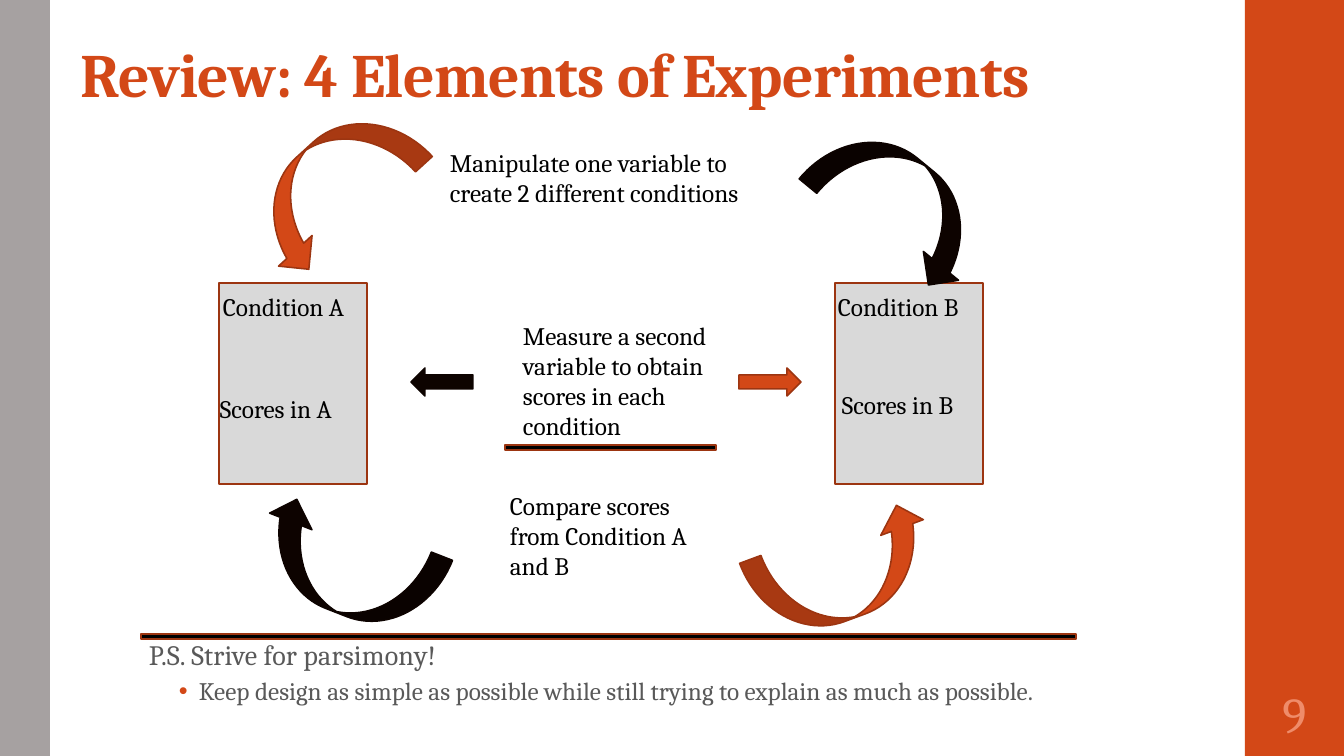
import pptx
import pptx.util
import pptx.dml.color
import pptx.enum.shapes
import pptx.enum.text
import pptx.oxml.ns
import lxml.etree

KIND = pptx.enum.shapes.MSO_SHAPE
ANCHOR = pptx.enum.text.MSO_ANCHOR
ALIGN = pptx.enum.text.PP_ALIGN
PT = pptx.util.Pt
SCALE = 914400 / 100.8
ORANGE, RUST, BLACK, INK = "D34817", "9C3511", "000000", "0D0300"
GRAY, PANEL, SLATE, PEACH = "A6A1A1", "D9D9D9", "595959", "EF8C6A"


def px(size):
    """Turn pixels into EMU."""
    return round(size * SCALE)


def tint(code):
    """Turn a hex string into a colour."""
    return pptx.dml.color.RGBColor.from_string(code)


def style(thing, values):
    """Set each attribute named in a dict."""
    for name, value in values.items():
        setattr(thing, name, value)


def shape(slide, kind, box, fill, line=None, turn=0, flip=False):
    """Add a filled preset shape."""
    item = slide.shapes.add_shape(kind, *map(px, box))
    item.shadow.inherit = False
    item.fill.solid()
    item.fill.fore_color.rgb = tint(fill)
    if line:
        item.line.color.rgb = tint(line)
        item.line.width = PT(1.1)
    else:
        item.line.fill.background()
    item.rotation = turn
    if flip:
        item._element.spPr.xfrm.set("flipH", "1")
    return item


def arrow(slide, kind, box, turn=0, flip=False):
    """Add an arrow, dark when it is mirrored."""
    fill, line = (INK, INK) if flip else (ORANGE, RUST)
    shape(slide, kind, box, fill, line, turn, flip)


def frame(slide, box, **values):
    """Add a wrapping text box and return its frame."""
    text = slide.shapes.add_textbox(*map(px, box)).text_frame
    style(text, {"word_wrap": True, **values})
    return text


def write(para, words, size=18, color=BLACK, bold=False, track=0, **values):
    """Write one styled run in a paragraph."""
    style(para, values)
    run = para.add_run()
    run.text = words
    style(run.font, {"name": "Cambria", "size": PT(size), "bold": bold})
    run.font.color.rgb = tint(color)
    if track:
        run._r.get_or_add_rPr().set("spc", str(track))


def bullet(para, color):
    """Give a paragraph a hanging bullet."""
    props = para._p.get_or_add_pPr()
    props.set("marL", str(px(50)))
    props.set("indent", str(px(-20)))
    qn = pptx.oxml.ns.qn
    paint = lxml.etree.SubElement(props, qn("a:buClr"))
    lxml.etree.SubElement(paint, qn("a:srgbClr")).set("val", color)
    lxml.etree.SubElement(props, qn("a:buFont")).set("typeface", "Arial")
    lxml.etree.SubElement(props, qn("a:buChar")).set("char", "•")


def notes(slide):
    """Add the closing advice."""
    text = frame(slide, (139, 635, 948, 120))
    write(text.paragraphs[0], "P.S. Strive for parsimony!", 20, SLATE, track=10,
          line_spacing=0.95, space_before=PT(14), space_after=PT(2))
    para = text.add_paragraph()
    write(para, "Keep design as simple as possible while still trying to "
          "explain as much as possible.", 18, SLATE,
          line_spacing=0.9, space_before=PT(3), space_after=PT(3))
    bullet(para, ORANGE)


def main():
    """Build the slide and save it."""
    deck = pptx.Presentation()
    style(deck, {"slide_width": px(1344), "slide_height": px(756)})
    slide = deck.slides.add_slide(deck.slide_layouts[6])

    for box, fill in (((1245, 0, 99, 756), ORANGE), ((0, 0, 50, 756), GRAY)):
        shape(slide, KIND.RECTANGLE, box, fill)
    title = frame(slide, (71, -38, 1126, 154), vertical_anchor=ANCHOR.BOTTOM,
                  margin_top=px(3), margin_bottom=px(5))
    write(title.paragraphs[0], "Review: 4 Elements of Experiments", 44, ORANGE,
          True, -50, line_spacing=0.9)
    notes(slide)
    page = frame(slide, (1245, 680, 99, 66), vertical_anchor=ANCHOR.MIDDLE,
                 margin_left=px(5), margin_right=px(5))
    write(page.paragraphs[0], "9", 36, PEACH, alignment=ALIGN.CENTER)

    for left in (219, 835):
        shape(slide, KIND.RECTANGLE, (left, 283, 148, 201), PANEL, RUST)
    labels = (
        ("Manipulate one variable to create 2 different conditions",
         (440, 142, 363, 71)),
        ("Condition A", (213, 286, 159, 40)),
        ("Condition B", (828, 286, 167, 40)),
        ("Measure a second variable to obtain scores in each condition",
         (513, 315, 226, 132)),
        ("Scores in A", (210, 388, 159, 40)),
        ("Scores in B", (832, 384, 159, 40)),
        ("Compare scores from Condition A and B", (500, 485, 226, 102)),
    )
    for words, box in labels:
        write(frame(slide, box).paragraphs[0], words)

    curves = ((286, 92, 47.6, False), (302, 473, 111.4, True),
              (799, 478, 249.7, False), (856, 109, 309.4, True))
    for left, top, turn, flip in curves:
        arrow(slide, KIND.CURVED_RIGHT_ARROW, (left, top, 91, 190), turn, flip)
    for left, flip in ((739, False), (411, True)):
        arrow(slide, KIND.RIGHT_ARROW, (left, 368, 62, 28), flip=flip)
    for box in ((141, 634, 935, 5), (505, 445, 211, 5)):
        shape(slide, KIND.RECTANGLE, box, BLACK, RUST)
    deck.save("out.pptx")


main()
